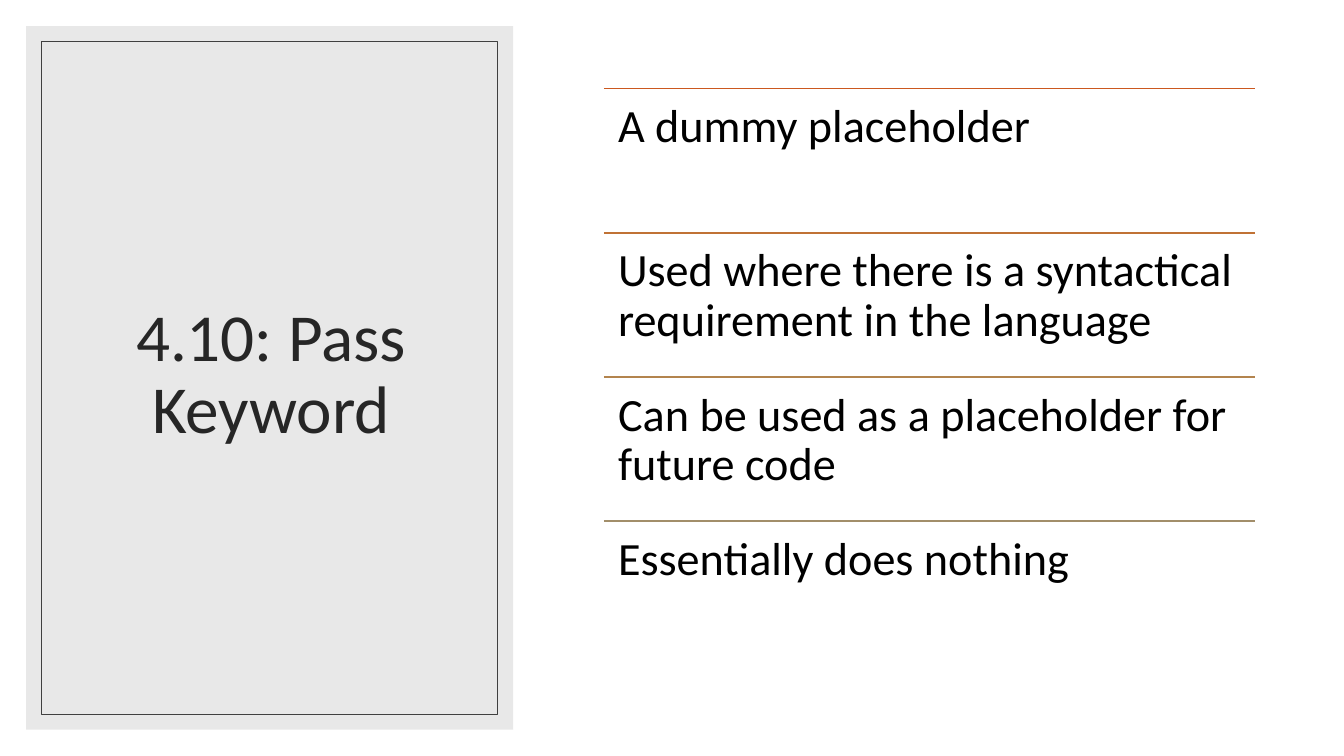
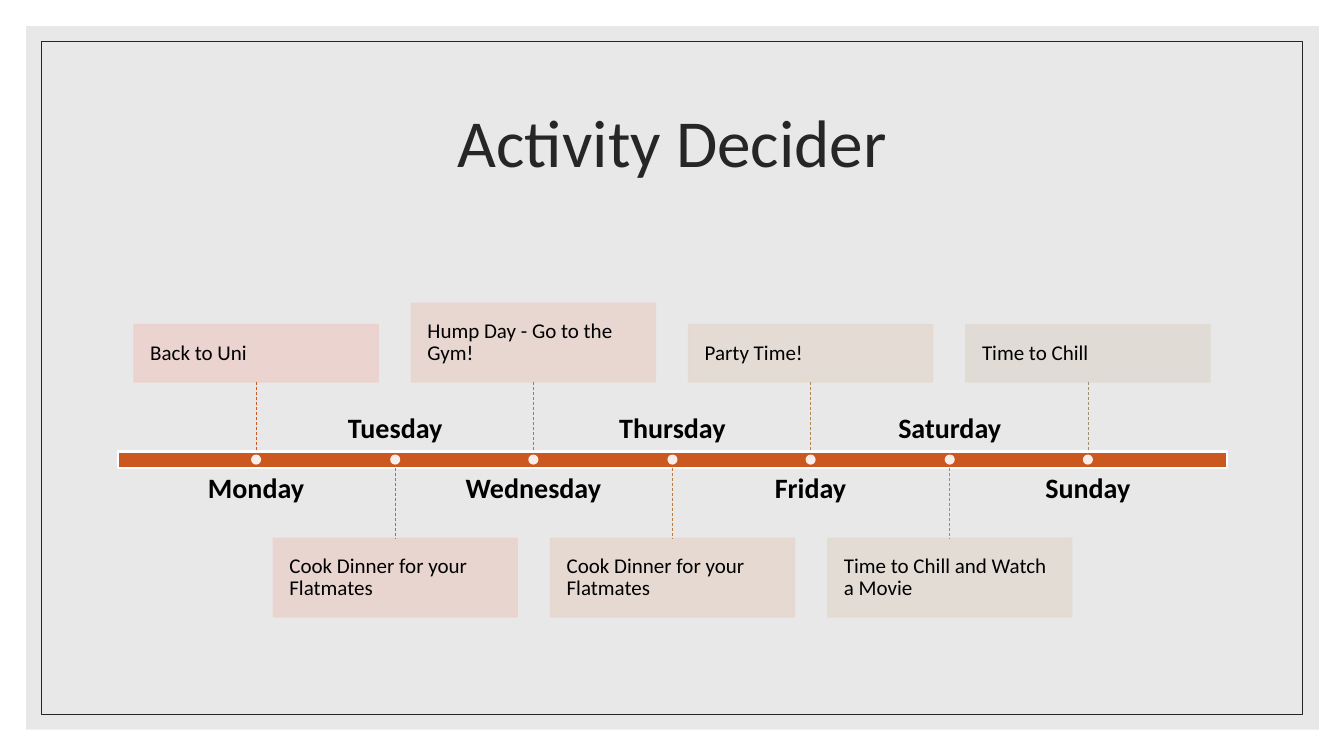
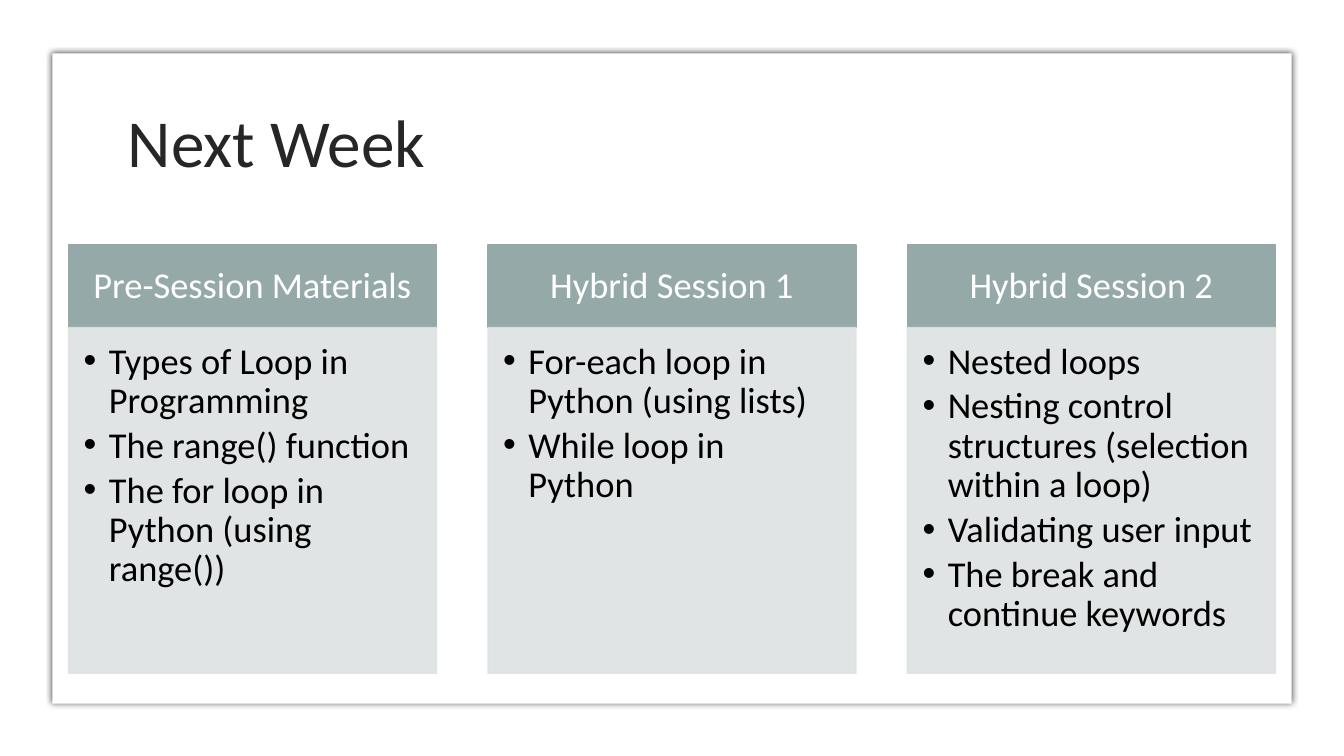
from lxml import etree
from pptx import Presentation
from pptx import util as u
from pptx.dml.color import RGBColor
from pptx.enum import dml, shapes, text
from pptx.oxml import ns

PX = 9144  # one px is a hundredth of an inch
FONT = "Calibri"
INK, BLACK, WHITE = "262626", "000000", "FFFFFF"
PANEL, ACCENT, SAGE, SAGE_LIGHT = "D9D9D9", "CB581F", "96A9A9", "DDE2E2"
CENTER = text.PP_ALIGN.CENTER
TOP, MIDDLE, BOTTOM = (text.MSO_ANCHOR.TOP, text.MSO_ANCHOR.MIDDLE,
                       text.MSO_ANCHOR.BOTTOM)


def rgb(color):
    return RGBColor.from_string(color)


def add_xml(parent, tag, **attributes):
    return etree.SubElement(parent, ns.qn(tag), attributes)


def paint(fill, color, opacity=100):
    """Fill with a solid colour, or with nothing if the colour is None."""
    if color is None:
        fill.background()
        return
    fill.solid()
    fill.fore_color.rgb = rgb(color)
    if opacity < 100:
        add_xml(fill._xPr.find(".//" + ns.qn("a:srgbClr")), "a:alpha",
                val=str(opacity * 1000))


def write(shape, content, size=18, color=BLACK, bold=False, align=None,
          anchor=TOP, insets=(10, 5, 10, 5), after=0, bullet=False):
    """Write one paragraph, or one for each item of a list."""
    frame = shape.text_frame
    frame.word_wrap = True
    frame.vertical_anchor = anchor
    (frame.margin_left, frame.margin_top,
     frame.margin_right, frame.margin_bottom) = [i * PX for i in insets]
    lines = [content] if isinstance(content, str) else content
    for i, line in enumerate(lines):
        paragraph = frame.add_paragraph() if i else frame.paragraphs[0]
        if bullet:
            props = paragraph._p.get_or_add_pPr()
            props.set("marL", str(25 * PX))
            props.set("indent", str(-25 * PX))
            add_xml(props, "a:buFont", typeface="Arial")
            add_xml(props, "a:buChar", char="•")
        paragraph.alignment = align or text.PP_ALIGN.LEFT
        paragraph.line_spacing = 0.9
        paragraph.space_after = u.Pt(after)
        run = paragraph.add_run()
        run.text = line
        run.font.name, run.font.size, run.font.bold = FONT, u.Pt(size), bold
        run.font.color.rgb = rgb(color)


class Deck:
    def __init__(self):
        self.file = Presentation()
        self.file.slide_width, self.file.slide_height = 1333 * PX, 750 * PX
        self.current = None

    def slide(self):
        self.current = self.file.slides.add_slide(self.file.slide_layouts[6])
        paint(self.current.background.fill, WHITE)

    def box(self, x, y, w, h, fill=None, line=None, weight=1, opacity=100,
            kind=shapes.MSO_SHAPE.RECTANGLE):
        shape = self.current.shapes.add_shape(kind, x * PX, y * PX, w * PX, h * PX)
        shape.shadow.inherit = False
        paint(shape.fill, fill, opacity)
        paint(shape.line.fill, line, opacity)
        if line:
            shape.line.width = u.Pt(weight)
        return shape

    def label(self, x, y, w, h, content, **format):
        area = self.current.shapes.add_textbox(x * PX, y * PX, w * PX, h * PX)
        write(area, content, **format)

    def title(self, content, x=117, y=70, w=1100, h=150, align=CENTER):
        self.label(x, y, w, h, content, size=48, color=INK, align=align,
                   anchor=MIDDLE)

    def rule(self, x1, y1, x2, y2, color, weight=1, dash=None):
        line = self.current.shapes.add_connector(
            shapes.MSO_CONNECTOR.STRAIGHT, x1 * PX, y1 * PX, x2 * PX, y2 * PX)
        line.line.color.rgb = rgb(color)
        line.line.width = u.Pt(weight)
        if dash:
            line.line.dash_style = dash
        add_xml(line._element.spPr, "a:effectLst")

    def framed_panel(self, w, border):
        """Grey panel with a thin border set inside it."""
        self.box(26, 26, w, 698, PANEL, opacity=60)
        self.box(41, 41, w - 31, 668, line=border, weight=0.5)

    def raised_panel(self, x, y, w, h):
        """White panel with a soft shadow all round."""
        panel = self.box(x, y, w, h, WHITE)
        effects = panel._element.spPr.find(ns.qn("a:effectLst"))
        shadow = add_xml(effects, "a:outerShdw", blurRad=str(u.Pt(4)),
                         dist="0", algn="ctr", rotWithShape="0")
        add_xml(add_xml(shadow, "a:srgbClr", val=BLACK), "a:alpha", val="66000")


def pass_keyword(deck):
    deck.slide()
    deck.framed_panel(483, "404040")
    deck.title("4.10: Pass Keyword", 63, 61, 412, 624)
    points = [
        ("A dummy placeholder", ACCENT),
        ("Used where there is a syntactical requirement in the language", "C07235"),
        ("Can be used as a placeholder for future code", "B3844E"),
        ("Essentially does nothing", "A28E6A"),
    ]
    for i, (point, color) in enumerate(points):
        y = 88 + 143 * i
        deck.rule(599, y, 1245, y, color)
        deck.label(599, y, 646, 143, point, size=33, insets=(14,) * 4)


def activity_decider(deck):
    deck.slide()
    deck.framed_panel(1282, INK)
    deck.title("Activity Decider")

    # Timeline bar
    left, width, bar_top, bar_bottom = 117, 1100, 448, 464
    deck.box(left, bar_top, width, bar_bottom - bar_top, ACCENT, WHITE, 1.5)

    # Day, activity, card height, card colour, stem colour
    days = [
        ("Monday", "Back to Uni", 57, "ECD1CD", ACCENT),
        ("Tuesday", "Cook Dinner for your Flatmates", 78, "EAD4CE", "C6662A"),
        ("Wednesday", "Hump Day - Go to the Gym!", 78, "E8D6CF", "C07235"),
        ("Thursday", "Cook Dinner for your Flatmates", 78, "E6D8D0", "BA7C41"),
        ("Friday", "Party Time!", 57, "E4DAD2", "B3844E"),
        ("Saturday", "Time to Chill and Watch a Movie", 78, "E2DBD3", "AA8A5C"),
        ("Sunday", "Time to Chill", 57, "E0DBD4", "A28E6A"),
    ]
    for i, (day, activity, height, tint, stem) in enumerate(days):
        x = left + width * (i + 1) // (len(days) + 1)
        # Cards alternate above and below the bar, each day name opposite
        if i % 2 == 0:
            card_top, stem_ends = 379 - height, (379, bar_top)
            day_top, day_anchor = 471, TOP
        else:
            card_top, stem_ends = 534, (bar_bottom, 534)
            day_top, day_anchor = 395, BOTTOM
        deck.label(x - 110, day_top, 220, 46, day, size=20, bold=True,
                   align=CENTER, anchor=day_anchor, insets=(0,) * 4)
        card = deck.box(x - 121, card_top, 242, height, tint, tint, opacity=90)
        write(card, activity, size=15, anchor=MIDDLE, insets=(16,) * 4)
        deck.rule(x, stem_ends[0], x, stem_ends[1], stem, 0.5,
                  dml.MSO_LINE.DASH)
        deck.box(x - 5, 451, 10, 10, WHITE, opacity=90,
                 kind=shapes.MSO_SHAPE.OVAL)


def next_week(deck):
    deck.slide()
    deck.raised_panel(52, 53, 1229, 645)
    deck.title("Next Week", align=text.PP_ALIGN.LEFT)
    sessions = [
        ("Pre-Session Materials", [
            "Types of Loop in Programming",
            "The range() function",
            "The for loop in Python (using range())"]),
        ("Hybrid Session 1", [
            "For-each loop in Python (using lists)",
            "While loop in Python"]),
        ("Hybrid Session 2", [
            "Nested loops",
            "Nesting control structures (selection within a loop)",
            "Validating user input",
            "The break and continue keywords"]),
    ]
    for i, (session, topics) in enumerate(sessions):
        x = 68 + 416 * i
        heading = deck.box(x, 243, 365, 82, SAGE, SAGE)
        write(heading, session, size=26, color=WHITE, align=CENTER,
              anchor=MIDDLE, insets=(20, 12, 20, 12))
        body = deck.box(x, 325, 365, 343, SAGE_LIGHT, SAGE_LIGHT, opacity=90)
        write(body, topics, size=26, insets=(15, 15, 20, 23), after=4,
              bullet=True)


def main():
    deck = Deck()
    pass_keyword(deck)
    activity_decider(deck)
    next_week(deck)
    deck.file.save("out.pptx")


if __name__ == "__main__":
    main()
